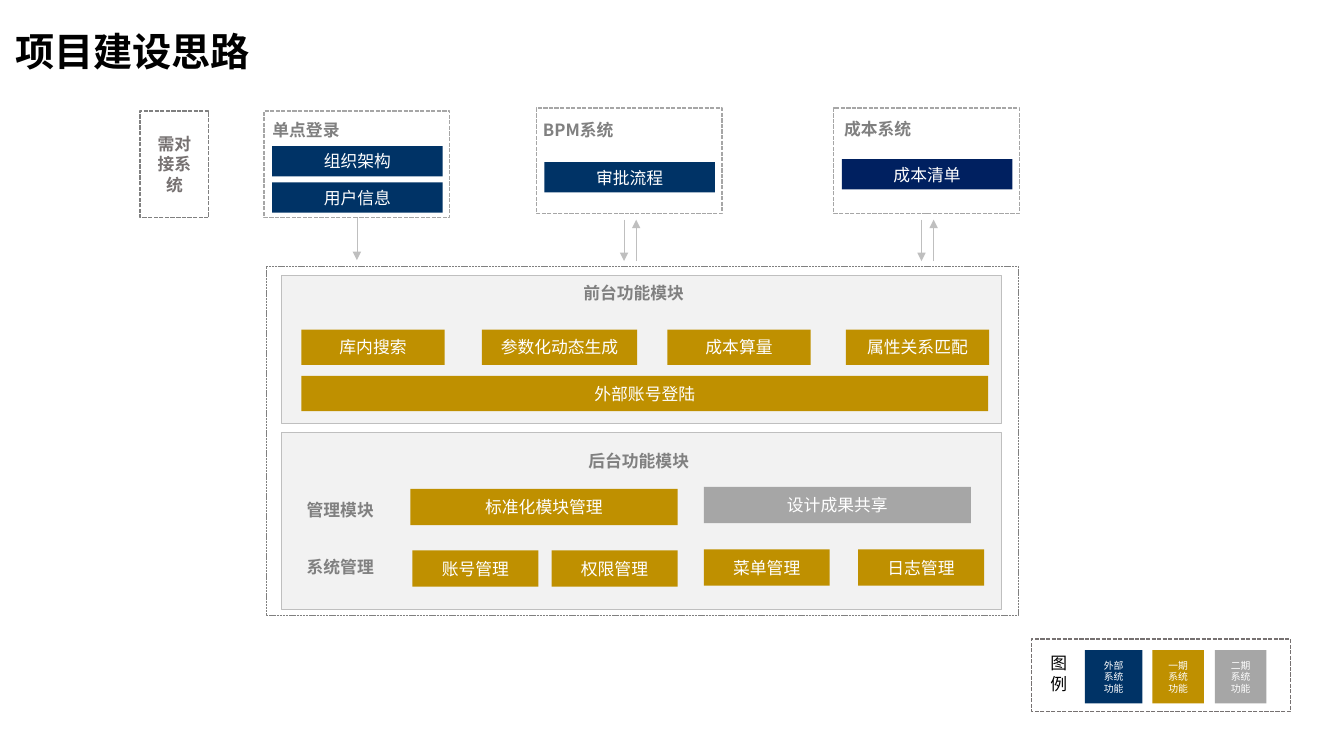
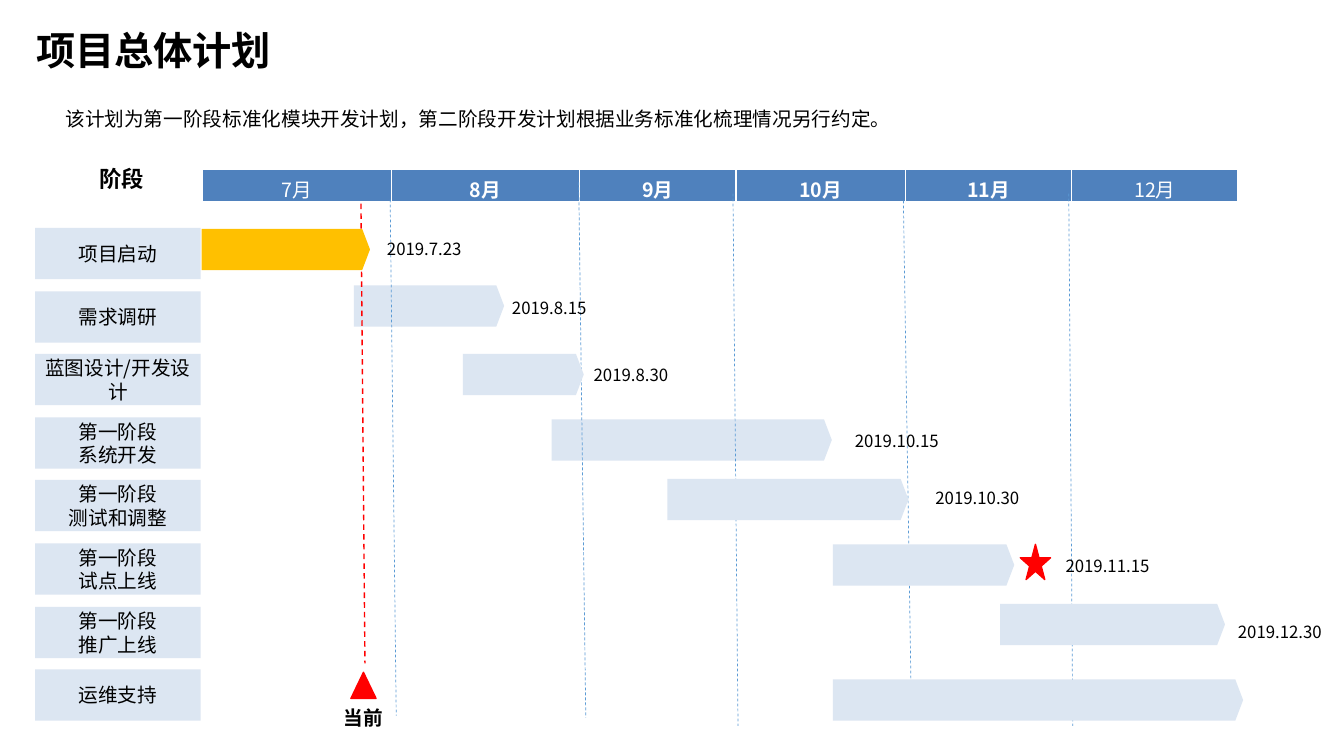
from lxml import etree
from pptx import Presentation
from pptx import util as u
from pptx.dml.color import RGBColor
from pptx.enum import dml, shapes, text
from pptx.oxml.ns import qn

NAVY = RGBColor(0x00, 0x33, 0x66)
DEEP = RGBColor(0x00, 0x20, 0x60)
GOLD = RGBColor(0xBF, 0x90, 0x00)
AMBER = RGBColor(0xFF, 0xC0, 0x00)
ASH = RGBColor(0xA6, 0xA6, 0xA6)
GRAY = RGBColor(0x80, 0x80, 0x80)
STONE = RGBColor(0x76, 0x71, 0x71)
SILVER = RGBColor(0xBF, 0xBF, 0xBF)
PALE = RGBColor(0xF2, 0xF2, 0xF2)
ICE = RGBColor(0xDC, 0xE6, 0xF2)
BLUE = RGBColor(0x4F, 0x81, 0xBD)
SKY = RGBColor(0x5B, 0x9B, 0xD5)
RED = RGBColor(0xFF, 0x00, 0x00)
BLACK = RGBColor(0, 0, 0)
WHITE = RGBColor(0xFF, 0xFF, 0xFF)

FACE = "Noto Sans CJK SC"
SCALE = 9144
KIND = shapes.MSO_SHAPE
DASH = dml.MSO_LINE.DASH
DOTS = dml.MSO_LINE.SQUARE_DOT
LEFT, MID = text.PP_ALIGN.LEFT, text.PP_ALIGN.CENTER


def px(*sizes):
    return [u.Emu(size * SCALE) for size in sizes]


class Deck:
    """Hold the shared style and the slide being drawn."""

    def __init__(self):
        self.show = Presentation()
        self.show.slide_width, self.show.slide_height = px(1333, 750)

    def page(self, title, x, y):
        self.slide = self.show.slides.add_slide(self.show.slide_layouts[6])
        box = self.label(x, y, 263, 58, title, 28, BLACK, True, grow=False)
        box.text_frame.vertical_anchor = text.MSO_ANCHOR.MIDDLE
        box.text_frame.paragraphs[0].line_spacing = 0.9

    def style(self, frame, size, color, bold=False, align=MID, face=FACE):
        for para in frame.paragraphs:
            para.alignment = align
            for run in para.runs:
                font = run.font
                font.size, font.bold = u.Pt(size), bold
                font.color.rgb = color
                font.name = face
                east = etree.SubElement(run._r.get_or_add_rPr(), qn("a:ea"))
                east.set("typeface", FACE)

    def label(self, x, y, w, h, words, size=12, color=GRAY, bold=False,
              align=MID, face=FACE, wrap=True, grow=True):
        box = self.slide.shapes.add_textbox(*px(x, y, w, h))
        frame = box.text_frame
        frame.text, frame.word_wrap = words, wrap
        if grow:
            frame.auto_size = text.MSO_AUTO_SIZE.SHAPE_TO_FIT_TEXT
        self.style(frame, size, color, bold, align, face)
        return box

    def shape(self, x, y, w, h, fill=None, line=None, width=1, dash=None,
              kind=KIND.RECTANGLE):
        item = self.slide.shapes.add_shape(kind, *px(x, y, w, h))
        item.shadow.inherit = False
        if fill is None:
            item.fill.background()
        else:
            item.fill.solid()
            item.fill.fore_color.rgb = fill
        if line is None:
            item.line.fill.background()
        else:
            item.line.color.rgb, item.line.width = line, u.Pt(width)
            if dash:
                item.line.dash_style = dash
        return item

    def letter(self, item, words, size, color, bold=False, inset=None):
        frame = item.text_frame
        frame.text, frame.word_wrap = words, True
        frame.vertical_anchor = text.MSO_ANCHOR.MIDDLE
        if inset:
            frame.margin_left, frame.margin_right = px(inset, inset)
        self.style(frame, size, color, bold)

    def tile(self, x, y, w, h, words, fill, size=12):
        self.letter(self.shape(x, y, w, h, fill), words, size, WHITE, inset=15)

    def bar(self, x, y, w, fill=ICE):
        item = self.shape(x, y, w, 41, fill, kind=KIND.PENTAGON)
        item.adjustments[0] = 0.19

    def line(self, x1, y1, x2, y2, color, width, dash=None, arrow=False):
        item = self.slide.shapes.add_connector(
            shapes.MSO_CONNECTOR.STRAIGHT, *px(x1, y1, x2, y2))
        item.line.color.rgb, item.line.width = color, u.Pt(width)
        if dash:
            item.line.dash_style = dash
        props = item._element.spPr
        if arrow:
            tip = etree.SubElement(props.find(qn("a:ln")), qn("a:tailEnd"))
            tip.set("type", "triangle")
        etree.SubElement(props, qn("a:effectLst"))
        return item

    def edge(self, cell):
        props = cell._tc.get_or_add_tcPr()
        for side, width in (("L", 1), ("R", 1), ("T", 1), ("B", 3)):
            rule = etree.SubElement(props, qn(f"a:ln{side}"), w=str(int(u.Pt(width))))
            fill = etree.SubElement(rule, qn("a:solidFill"))
            etree.SubElement(fill, qn("a:srgbClr"), val=str(WHITE))

    def months(self, x, y, h, cols):
        wide = sum(w for _, w, _ in cols)
        grid = self.slide.shapes.add_table(1, len(cols), *px(x, y, wide, h)).table
        grid.first_row = grid.horz_banding = False
        for i, (name, w, bold) in enumerate(cols):
            grid.columns[i].width = u.Emu(w * SCALE)
            cell = grid.cell(0, i)
            cell.text_frame.text = name
            cell.margin_left, cell.margin_right = px(4, 4)
            cell.margin_top, cell.margin_bottom = px(5, 5)
            self.edge(cell)
            cell.fill.solid()
            cell.fill.fore_color.rgb = BLUE
            self.style(cell.text_frame, 14, WHITE, bold)


def ideas(deck):
    deck.page("项目建设思路", 0, 24)
    deck.shape(264, 264, 746, 347, WHITE, GRAY, 0.5, DOTS)
    need = deck.shape(139, 110, 68, 106, None, GRAY, 1, DOTS)
    deck.letter(need, "需对接系统", 12, STONE, True)

    login, _, _ = [deck.shape(x, y, 184, h, None, ASH, 1, DOTS)
                   for x, y, h in ((262, 110, 106), (532, 107, 105), (827, 107, 105))]
    for x, y, words, fill in (
            (270, 145, "组织架构", NAVY), (270, 181, "用户信息", NAVY),
            (540, 161, "审批流程", NAVY), (835, 158, "成本清单", DEEP)):
        deck.tile(x, y, 169, 30, words, fill)

    arrow = deck.line(354, 216, 354, 258, SILVER, 0.25, arrow=True)
    arrow.begin_connect(login, 2)
    for x in (619, 914):
        deck.line(x, 218, x, 259, SILVER, 0.25, arrow=True)
        deck.line(x + 12, 259, x + 12, 218, SILVER, 0.25, arrow=True)

    for y, h in ((273, 147), (429, 176)):
        deck.shape(279, y, 714, h, PALE, SILVER, 0.5)
    for x, y, words in (
            (194, 114, "单点登录"), (464, 114, "BPM系统"), (761, 113, "成本系统"),
            (519, 276, "前台功能模块"), (524, 442, "后台功能模块"),
            (228, 491, "管理模块"), (228, 547, "系统管理")):
        deck.label(x, y, 219, 23, words, bold=True)

    for x, w, words in ((299, 142, "库内搜索"), (478, 154, "参数化动态生成"),
                        (662, 142, "成本算量"), (839, 142, "属性关系匹配")):
        deck.tile(x, 327, w, 35, words, GOLD)
    deck.tile(299, 373, 681, 35, "外部账号登陆", GOLD)
    deck.tile(407, 485, 265, 36, "标准化模块管理", GOLD)
    deck.tile(698, 483, 265, 36, "设计成果共享", ASH)
    for x, y, words in ((409, 546, "账号管理"), (547, 546, "权限管理"),
                        (698, 545, "菜单管理"), (851, 545, "日志管理")):
        deck.tile(x, y, 125, 36, words, GOLD)

    deck.shape(1023, 634, 257, 72, WHITE, STONE, 1, DOTS)
    deck.label(1032, 643, 34, 39, "图例", color=BLACK)
    for x, w, words, fill in ((1076, 57, "外部系统功能", NAVY),
                              (1143, 51, "一期系统功能", GOLD),
                              (1205, 51, "二期系统功能", ASH)):
        deck.tile(x, 645, w, 53, words, fill, 7)


def plan(deck):
    deck.page("项目总体计划", 21, 23)
    deck.label(55, 101, 845, 34,
               "该计划为第一阶段标准化模块开发计划，第二阶段开发计划根据业务标准化梳理情况另行约定。",
               14, BLACK, align=LEFT, face="Calibri", wrap=False)
    deck.label(34, 159, 173, 37, "阶段", 16, BLACK, True)
    deck.months(201, 168, 33, [
        ("7月", 187, False), ("8月", 187, True), ("9月", 155, True),
        ("10月", 168, True), ("11月", 165, True), ("12月", 165, False)])

    stages = ("项目启动", "需求调研", "蓝图设计/开发设计", "第一阶段\n系统开发",
              "第一阶段\n测试和调整", "第一阶段\n试点上线", "第一阶段\n推广上线", "运维支持")
    for i, words in enumerate(stages):
        box = deck.shape(35, 226 + round(62.6 * i), 164, 51, ICE)
        deck.letter(box, words, 14, BLACK)

    for x, y, w in ((351, 283, 149), (547, 416, 278)):
        deck.bar(x, y, w)
    for ends in ((387, 198, 393, 710), (574, 181, 581, 712), (727, 192, 732, 720),
                 (896, 199, 904, 709), (1060, 192, 1064, 720)):
        deck.line(*ends, SKY, 0.5, DASH)
    deck.line(358, 202, 362, 658, RED, 1, DASH)
    for x, y, w in ((459, 351, 120), (662, 475, 239), (826, 540, 180),
                    (992, 599, 223), (826, 674, 407)):
        deck.bar(x, y, w)
    deck.bar(200, 227, 167, AMBER)

    for x, y, day in (
            (374, 232, "2019.7.23"), (498, 290, "2019.8.15"), (579, 357, "2019.8.30"),
            (838, 422, "2019.10.15"), (918, 479, "2019.10.30"),
            (1047, 546, "2019.11.15"), (1218, 612, "2019.12.30")):
        deck.label(x, y, 113, 30, day, 12, BLACK, align=LEFT)
    deck.shape(1012, 540, 30, 35, RED, RED, kind=KIND.STAR_5_POINT)
    deck.shape(348, 667, 25, 26, RED, RED, kind=KIND.ISOSCELES_TRIANGLE)
    deck.label(331, 695, 93, 34, "当前", 14, BLACK, True, LEFT)


def main():
    deck = Deck()
    ideas(deck)
    plan(deck)
    deck.show.save("out.pptx")


if __name__ == "__main__":
    main()
